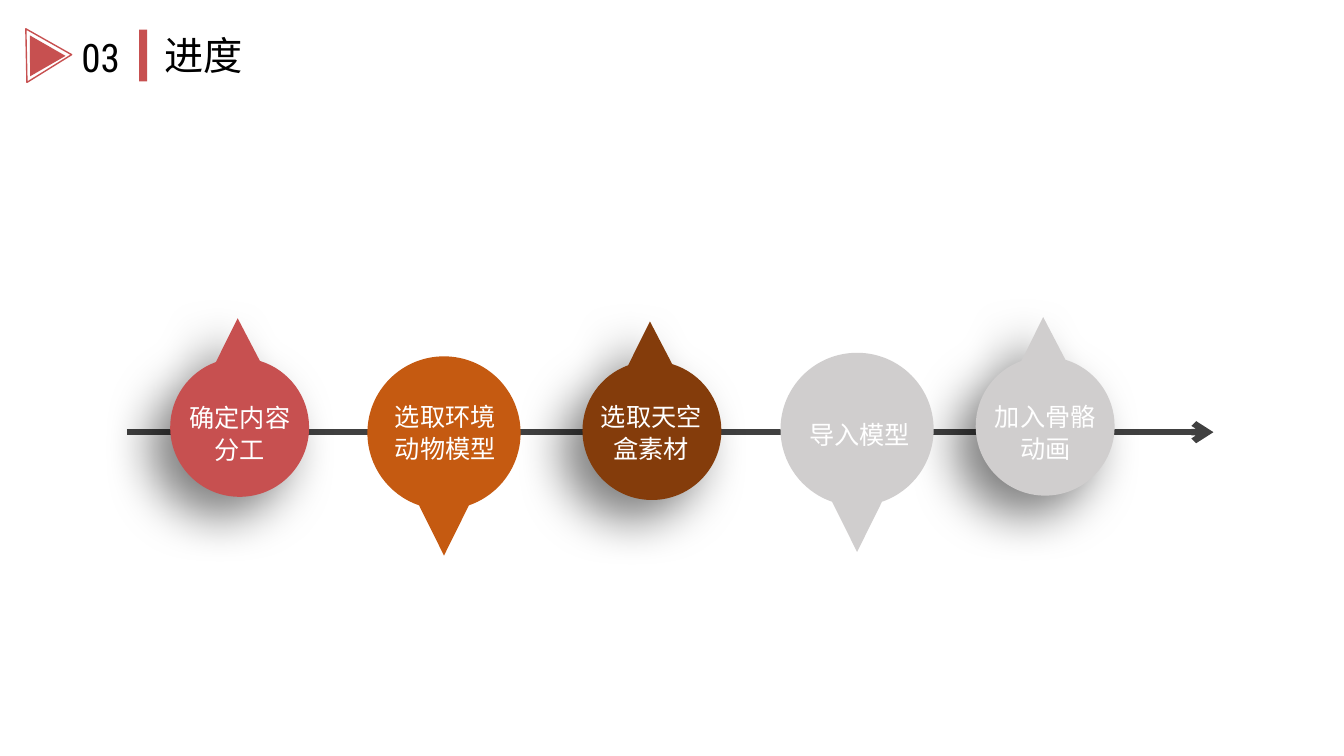
from itertools import pairwise
from math import cos, radians, sin, tan

from lxml.etree import SubElement
from pptx import Presentation
from pptx.dml.color import RGBColor
from pptx.enum.shapes import MSO_CONNECTOR, MSO_SHAPE
from pptx.enum.text import MSO_AUTO_SIZE, PP_ALIGN
from pptx.oxml.ns import qn
from pptx.util import Cm, Pt

RED = "C75050"
GREY = "D0CECE"
CJK_FONT = "Noto Sans CJK SC"
UP, DOWN = -1, 1

# label, colour, centre x, centre y, tip direction, label left, label top
STEPS = [
    ("确定内容分工", RED, 6.04, 10.77, UP, 4.29, 9.96),
    ("选取环境动物模型", "C55A11", 11.19, 10.91, DOWN, 9.47, 9.93),
    ("选取天空盒素材", "843C0B", 16.43, 10.85, UP, 14.66, 9.93),
    ("导入模型", GREY, 21.6, 10.82, DOWN, 19.91, 10.39),
    ("加入骨骼动画", GREY, 26.34, 10.74, UP, 24.59, 9.93),
]


def rgb(colour):
    return RGBColor.from_string(colour)


def paint(shape, colour):
    shape.shadow.inherit = False
    shape.fill.solid()
    shape.fill.fore_color.rgb = rgb(colour)
    shape.line.fill.background()


def add_soft_shadow(shape):
    """Cast a wide shadow towards the lower left."""
    effects = shape._element.spPr.find(qn("a:effectLst"))
    shadow = SubElement(effects, qn("a:outerShdw"), blurRad=str(Pt(35)),
                        dist=str(Pt(20)), dir="8100000", algn="tr", rotWithShape="0")
    black = SubElement(shadow, qn("a:srgbClr"), val="000000")
    SubElement(black, qn("a:alpha"), val="50000")


def add_pin(shapes, colour, centre_x, centre_y, radius, reach, direction):
    """Draw a disc whose tip lies reach away from its centre, up or down."""
    lean = 0.05 if direction == UP else 0
    necks = (17, 340) if direction == UP else (19, 341)
    angles = [necks[0], 90, 180, 270, necks[1]]

    def rim_point(angle, pull=0):
        """Return the point at an angle from the tip, moved along the tangent."""
        turn = radians(angle)
        across = sin(turn) + pull * cos(turn)
        along = cos(turn) - pull * sin(turn)
        return Cm(centre_x + radius * across), Cm(centre_y + direction * radius * along)

    outline = shapes.build_freeform(Cm(centre_x - lean), Cm(centre_y + direction * reach))
    outline.add_line_segments([rim_point(angle) for angle in angles], close=True)
    pin = outline.convert_to_shape()

    sides = list(pin._element.iter(qn("a:lnTo")))[1:len(angles)]
    for side, (start, end) in zip(sides, pairwise(angles)):
        pull = 4 / 3 * tan(radians(end - start) / 4)
        side.tag = qn("a:cubicBezTo")
        for place, (x, y) in enumerate((rim_point(start, pull), rim_point(end, -pull))):
            control = SubElement(side, qn("a:pt"), x=str(x - pin.left), y=str(y - pin.top))
            side.insert(place, control)
    paint(pin, colour)
    return pin


def add_step_pin(slide, colour, centre_x, centre_y, direction):
    if direction == UP:
        add_soft_shadow(add_pin(slide.shapes, colour, centre_x, centre_y, 1.75, 2.75, UP))
        return
    layers = slide.shapes.add_group_shape().shapes
    for radius, reach in ((1.93, 3.09), (1.85, 2.88)):
        add_pin(layers, colour, centre_x, centre_y, radius, reach, DOWN)


def add_text(slide, text, left, top, width, height, size, font, colour):
    box = slide.shapes.add_textbox(Cm(left), Cm(top), Cm(width), Cm(height))
    frame = box.text_frame
    frame.word_wrap = True
    frame.auto_size = MSO_AUTO_SIZE.SHAPE_TO_FIT_TEXT
    frame.text = text
    paragraph = frame.paragraphs[0]
    run = paragraph.runs[0]
    run.font.size = Pt(size)
    run.font.name = font
    run.font.color.rgb = rgb(colour)
    SubElement(run.font._element, qn("a:ea"), typeface=font)
    return paragraph


def add_step_label(slide, text, left, top):
    height = 1.83 if len(text) > 4 else 1.02
    label = add_text(slide, text, left, top, 3.51, height, 18, "Arial", "FFFFFF")
    label.alignment = PP_ALIGN.CENTER
    label.line_spacing = Pt(23)


def add_timeline(slide):
    timeline = slide.shapes.add_connector(
        MSO_CONNECTOR.STRAIGHT, Cm(3.2), Cm(10.89), Cm(30.58), Cm(10.89))
    timeline.line.color.rgb = rgb("404040")
    timeline.line.width = Pt(4.5)
    SubElement(timeline.line._get_or_add_ln(), qn("a:tailEnd"), type="arrow")
    SubElement(timeline._element.spPr, qn("a:effectLst"))


def add_shape(shapes, kind, left, top, width, height, rotation=0):
    shape = shapes.add_shape(kind, Cm(left), Cm(top), Cm(width), Cm(height))
    shape.rotation = rotation
    paint(shape, RED)
    return shape


def add_heading(slide):
    add_shape(slide.shapes, MSO_SHAPE.RECTANGLE, 3.51, 0.75, 0.2, 1.3)
    add_text(slide, "03", 1.8, 0.71, 1.91, 1.45, 28, "Roboto Condensed", "000000")
    add_text(slide, "进度", 3.89, 0.66, 14.27, 1.45, 28, CJK_FONT, "000000")
    marker = slide.shapes.add_group_shape().shapes
    frame = add_shape(marker, MSO_SHAPE.ISOSCELES_TRIANGLE, 0.56, 0.82, 1.35, 1.14, 88.8)
    frame.fill.background()
    frame.line.color.rgb = rgb(RED)
    frame.line.width = Pt(1)
    add_shape(marker, MSO_SHAPE.ISOSCELES_TRIANGLE, 0.46, 1.09, 1.04, 0.89, 209.8)


def main():
    presentation = Presentation()
    presentation.slide_width = Cm(33.87)
    presentation.slide_height = Cm(19.05)
    slide = presentation.slides.add_slide(presentation.slide_layouts[6])
    add_timeline(slide)
    for _, colour, centre_x, centre_y, direction, _, _ in sorted(STEPS, key=lambda step: step[4]):
        add_step_pin(slide, colour, centre_x, centre_y, direction)
    for label, *_, left, top in STEPS:
        add_step_label(slide, label, left, top)
    add_heading(slide)
    presentation.save("out.pptx")


if __name__ == "__main__":
    main()
